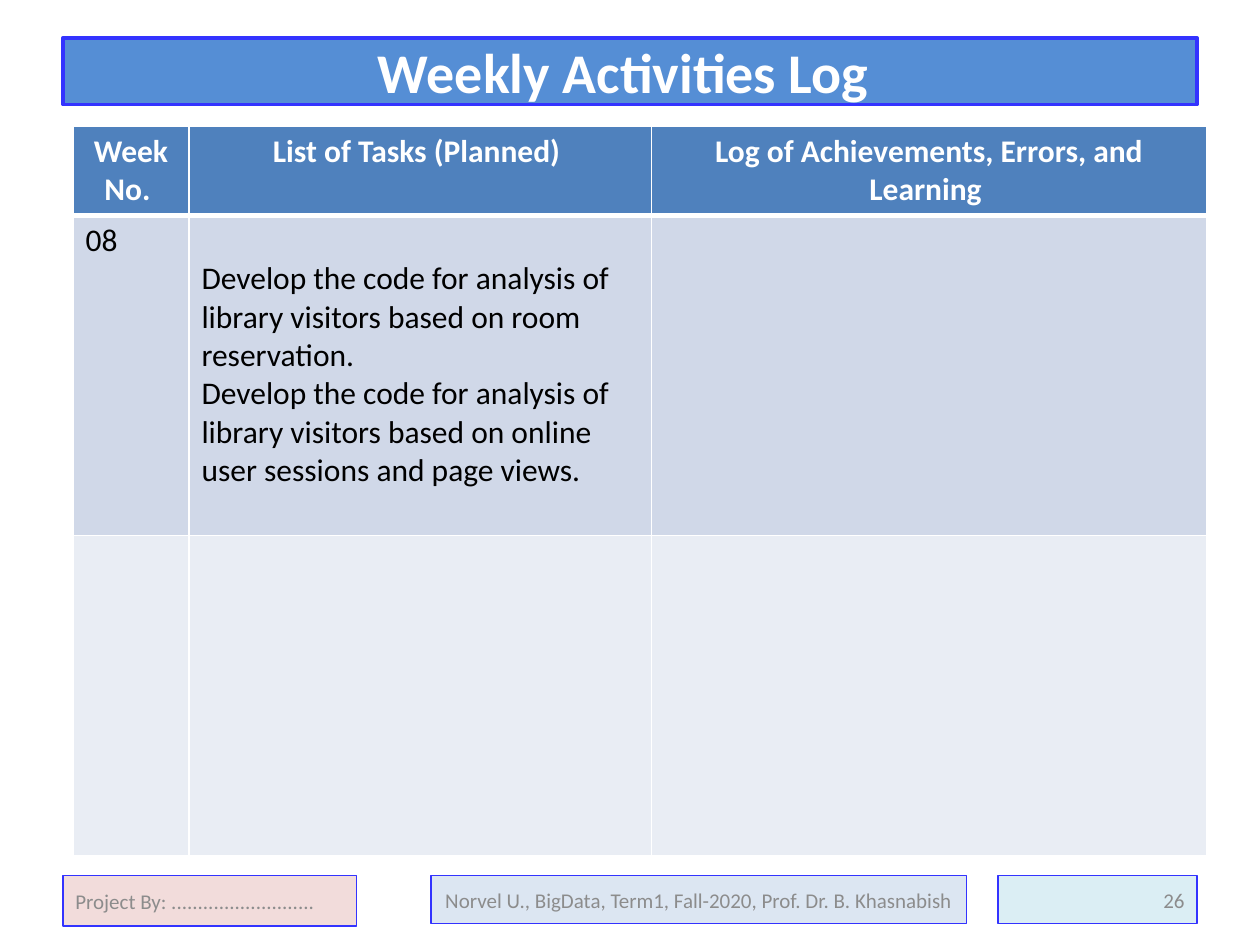
from lxml import etree
from pptx import Presentation
from pptx.dml.color import RGBColor
from pptx.enum.shapes import MSO_SHAPE
from pptx.enum.text import MSO_ANCHOR, PP_ALIGN
from pptx.oxml.ns import qn
from pptx.util import Inches, Pt

RECTANGLE = MSO_SHAPE.RECTANGLE
MIDDLE = MSO_ANCHOR.MIDDLE
LEFT, CENTER, RIGHT = PP_ALIGN.LEFT, PP_ALIGN.CENTER, PP_ALIGN.RIGHT

FONT = "Calibri"
BLUE, WHITE, BLACK, GREY = "3333FF", "FFFFFF", "000000", "8C8C8C"
ROW_FILLS = ["4F81BD", "D0D8E8", "E9EDF4"]
COLUMN_WIDTHS = [0.92, 3.67, 4.41]
ROW_HEIGHTS = [0.7, 2.54, 2.54]
FOOTER_TOP = 6.95

HEADERS = ["Week No. ", "List of Tasks (Planned) ",
           "Log of Achievements, Errors, and Learning "]
TASKS = [
    "Develop the code for analysis of library visitors based on room reservation.",
    "Develop the code for analysis of library visitors based on online user "
    "sessions and page views.",
]


def color(value):
    return RGBColor.from_string(value)


def write(frame, *lines, size=18, ink=BLACK, bold=False, align=LEFT):
    """Fill a text frame with one paragraph per line."""
    frame.word_wrap = True
    for index, line in enumerate(lines):
        para = frame.add_paragraph() if index else frame.paragraphs[0]
        para.alignment = align
        span = para.add_run()
        span.text = line
        span.font.name = FONT
        span.font.size = Pt(size)
        span.font.bold = bold
        span.font.color.rgb = color(ink)


def add_box(page, left, top, width, height, text, fill, line_width=0.75, **style):
    box = page.shapes.add_shape(RECTANGLE, Inches(left), Inches(top),
                                Inches(width), Inches(height))
    box.shadow.inherit = False
    box.fill.solid()
    box.fill.fore_color.rgb = color(fill)
    box.line.color.rgb = color(BLUE)
    box.line.width = Pt(line_width)
    box.text_frame.vertical_anchor = MIDDLE
    write(box.text_frame, text, **style)


def set_borders(cell, bottom=1, top=1):
    """Draw white cell borders; widths are in points."""
    properties = cell._tc.get_or_add_tcPr()
    for side, width in (("L", 1), ("R", 1), ("T", top), ("B", bottom)):
        line = etree.SubElement(properties, qn(f"a:ln{side}"), w=str(Pt(width)))
        fill = etree.SubElement(line, qn("a:solidFill"))
        etree.SubElement(fill, qn("a:srgbClr"), val=WHITE)


def add_log_table(page):
    table = page.shapes.add_table(
        len(ROW_HEIGHTS), len(COLUMN_WIDTHS), Inches(0.58), Inches(1),
        Inches(sum(COLUMN_WIDTHS)), Inches(sum(ROW_HEIGHTS))).table
    for column, width in zip(table.columns, COLUMN_WIDTHS):
        column.width = Inches(width)

    for index, (row, height) in enumerate(zip(table.rows, ROW_HEIGHTS)):
        row.height = Inches(height)
        for cell in row.cells:
            set_borders(cell, bottom=3 if index == 0 else 1,
                        top=3 if index == 1 else 1)
            cell.fill.solid()
            cell.fill.fore_color.rgb = color(ROW_FILLS[index])

    for cell, header in zip(table.rows[0].cells, HEADERS):
        write(cell.text_frame, header, ink=WHITE, bold=True, align=CENTER)
    write(table.cell(1, 0).text_frame, "08")
    tasks = table.cell(1, 1)
    tasks.margin_top = Inches(0.35)  # tasks start one line down
    write(tasks.text_frame, *TASKS)


def add_footer(page):
    parts = [
        (0.5, 2.33, 0.4, "Project By: ...........................", "F2DCDB", LEFT),
        (3.42, 4.25, 0.38,
         "Norvel U., BigData, Term1, Fall-2020, Prof. Dr. B. Khasnabish",
         "DCE6F2", CENTER),
        (7.92, 1.58, 0.38, "26", "DBEEF4", RIGHT),
    ]
    for left, width, height, text, fill, align in parts:
        add_box(page, left, FOOTER_TOP, width, height, text, fill,
                size=12, ink=GREY, align=align)


def main():
    deck = Presentation()
    deck.slide_width, deck.slide_height = Inches(10), Inches(7.5)
    page = deck.slides.add_slide(deck.slide_layouts[6])

    # Title bar
    add_box(page, 0.5, 0.3, 9, 0.53, "Weekly Activities Log ", "558ED5",
            line_width=2, size=32, ink=WHITE, bold=True, align=CENTER)
    # Weekly log
    add_log_table(page)
    # Footer boxes
    add_footer(page)

    deck.save("out.pptx")


if __name__ == "__main__":
    main()
